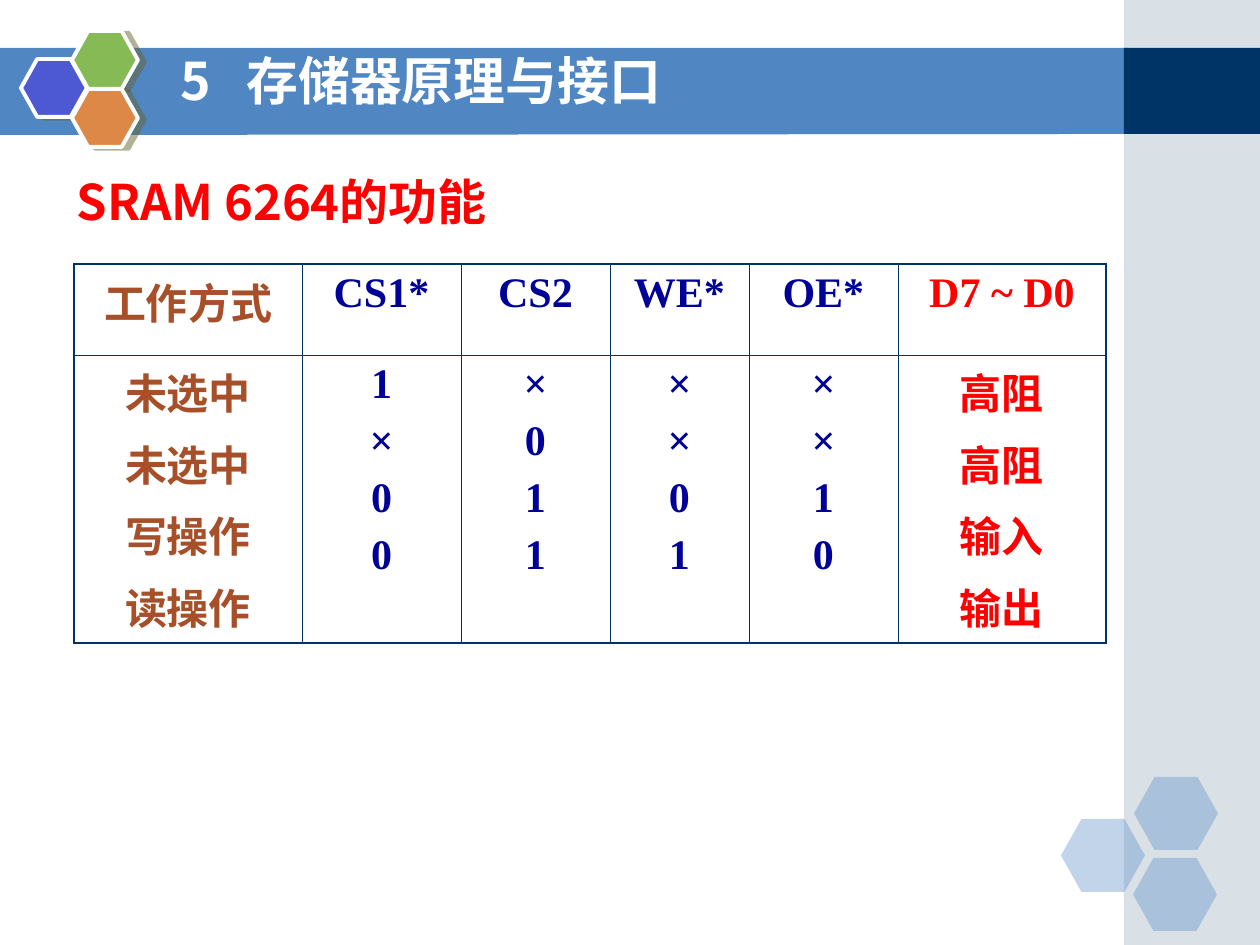
from typing import NamedTuple

from lxml import etree
from pptx import Presentation
from pptx import util as u
from pptx.dml.color import RGBColor
from pptx.enum import shapes, text
from pptx.oxml.ns import qn

PX = 914400 / 126
SANS, SERIF = "Noto Sans CJK SC", "Times New Roman"
NAVY, WHITE, RED = "003366", "FFFFFF", "FF0000"
STEEL, BROWN, BLUE = "5086C2", "A64F28", "000099"
THIN, THICK = 0.45, 1.08


class Box(NamedTuple):
    x: int
    y: int
    w: int
    h: int
    fill: str
    alpha: int = 100
    kind: shapes.MSO_SHAPE = shapes.MSO_SHAPE.HEXAGON
    edge: bool = False


class Col(NamedTuple):
    width: int
    color: str
    head: str
    body: tuple[str, ...]


PANELS = [
    Box(1124, 0, 136, 945, "A0B5C4", 40, shapes.MSO_SHAPE.RECTANGLE),
    Box(1124, 48, 136, 86, NAVY, 100, shapes.MSO_SHAPE.RECTANGLE),
]
CORNER = [Box(x, y, 84, 73, STEEL, 35) for x, y in ((1061, 819), (1134, 777), (1133, 858))]
BADGE = [
    Box(21, 59, 66, 58, "4C59D2", edge=True),
    Box(72, 31, 66, 58, "85BA54", edge=True),
    Box(72, 89, 66, 58, "DE8848", edge=True),
]
COLS = [
    Col(228, BROWN, "工作方式", ("未选中", "未选中", "写操作", "读操作")),
    Col(159, BLUE, "CS1*", ("1", "×", "0", "0")),
    Col(149, BLUE, "CS2", ("×", "0", "1", "1")),
    Col(139, BLUE, "WE*", ("×", "×", "0", "1")),
    Col(149, BLUE, "OE*", ("×", "×", "1", "0")),
    Col(208, RED, "D7 ~ D0", ("高阻", "高阻", "输入", "输出")),
]
ROWS = (91, 288)


def px(n: int) -> int:
    return round(n * PX)


def rgb(code: str) -> RGBColor:
    return RGBColor.from_string(code)


def sub(node, tag: str, **attrs):
    return etree.SubElement(node, qn(tag), {k: str(v) for k, v in attrs.items()})


def paint(shape, color: str, alpha: int = 100) -> None:
    shape.shadow.inherit = False
    shape.fill.solid()
    shape.fill.fore_color.rgb = rgb(color)
    shape.line.fill.background()
    if alpha < 100:
        tint = shape.fill._xPr.find(qn("a:solidFill"))[0]
        sub(tint, "a:alpha", val=alpha * 1000)


def draw(slide, box: Box) -> None:
    shape = slide.shapes.add_shape(box.kind, px(box.x), px(box.y), px(box.w), px(box.h))
    paint(shape, box.fill, box.alpha)
    if box.kind == shapes.MSO_SHAPE.HEXAGON:
        shape.adjustments[0] = 0.28
    if box.edge:
        shape.line.color.rgb = rgb(WHITE)
        shape.line.width = u.Pt(2.25)
        glow = shape._element.spPr.find(qn("a:effectLst"))
        drop = sub(glow, "a:outerShdw", blurRad=0, dist=u.Pt(4.1),
                   dir=14 * 60000, algn="ctr", rotWithShape=0)
        tint = sub(drop, "a:srgbClr", val="666633")
        sub(tint, "a:alpha", val=50000)


def write(para, words: str, size: float, color: str, face: str) -> None:
    run = para.add_run()
    run.text = words
    font = run.font
    font.size, font.bold, font.name = u.Pt(size), True, face
    font.color.rgb = rgb(color)
    sub(run._r.get_or_add_rPr(), "a:ea", typeface=SANS)


def edge(cell, sides: dict[str, float]) -> None:
    props = cell._tc.get_or_add_tcPr()
    for side, width in sides.items():
        line = sub(props, f"a:ln{side}", w=u.Pt(width))
        sub(sub(line, "a:solidFill"), "a:srgbClr", val=NAVY)


def fill_cell(cell, lines: tuple[str, ...], color: str) -> None:
    cell.fill.solid()
    cell.fill.fore_color.rgb = rgb(WHITE)
    frame = cell.text_frame
    for i, words in enumerate(lines):
        para = frame.add_paragraph() if i else frame.paragraphs[0]
        para.alignment = text.PP_ALIGN.CENTER
        if i:
            para.space_before = u.Pt(6)
        write(para, words, 24, color, SERIF)


def add_grid(slide) -> None:
    wide = sum(c.width for c in COLS)
    frame = slide.shapes.add_table(len(ROWS), len(COLS), px(74), px(264), px(wide), px(sum(ROWS)))
    grid = frame.table
    grid.first_row = grid.horz_banding = False
    for r, high in enumerate(ROWS):
        grid.rows[r].height = px(high)
    for c, col in enumerate(COLS):
        grid.columns[c].width = px(col.width)
        for r, lines in enumerate(((col.head,), col.body)):
            cell = grid.cell(r, c)
            edge(cell, {
                "L": THICK if c == 0 else THIN,
                "R": THICK if c == len(COLS) - 1 else THIN,
                "T": THICK if r == 0 else THIN,
                "B": THICK if r == len(ROWS) - 1 else THIN,
            })
            fill_cell(cell, lines, col.color)


def main() -> None:
    prs = Presentation()
    prs.slide_width, prs.slide_height = u.Inches(10), u.Inches(7.5)
    slide = prs.slides.add_slide(prs.slide_layouts[5])

    # Header band, side panel and hexagons
    form = slide.shapes.build_freeform(-1, 48, scale=PX)
    form.add_line_segments([(1128, 48), (1128, 134), (-1, 135)], close=True)
    paint(form.convert_to_shape(), STEEL)
    for box in PANELS + CORNER + BADGE:
        draw(slide, box)

    # Chapter heading, with a tab after its number
    head = slide.shapes.add_textbox(px(168), px(45), px(924), px(78)).text_frame
    head.word_wrap = True
    head.vertical_anchor = text.MSO_ANCHOR.MIDDLE
    para = head.paragraphs[0]
    para.line_spacing = 0.9
    tabs = sub(para._p.get_or_add_pPr(), "a:tabLst")
    sub(tabs, "a:tab", pos=px(66), algn="l")
    write(para, "5\t存储器原理与接口", 29.6, WHITE, SANS)

    # Slide title
    title = slide.shapes.title
    title.left, title.top, title.width, title.height = px(64), px(165), px(830), px(106)
    frame = title.text_frame
    frame.auto_size = text.MSO_AUTO_SIZE.NONE
    frame.vertical_anchor = text.MSO_ANCHOR.TOP
    frame.paragraphs[0].alignment = text.PP_ALIGN.LEFT
    write(frame.paragraphs[0], "SRAM 6264的功能", 28, RED, SANS)

    # Function table
    add_grid(slide)
    prs.save("out.pptx")


if __name__ == "__main__":
    main()
